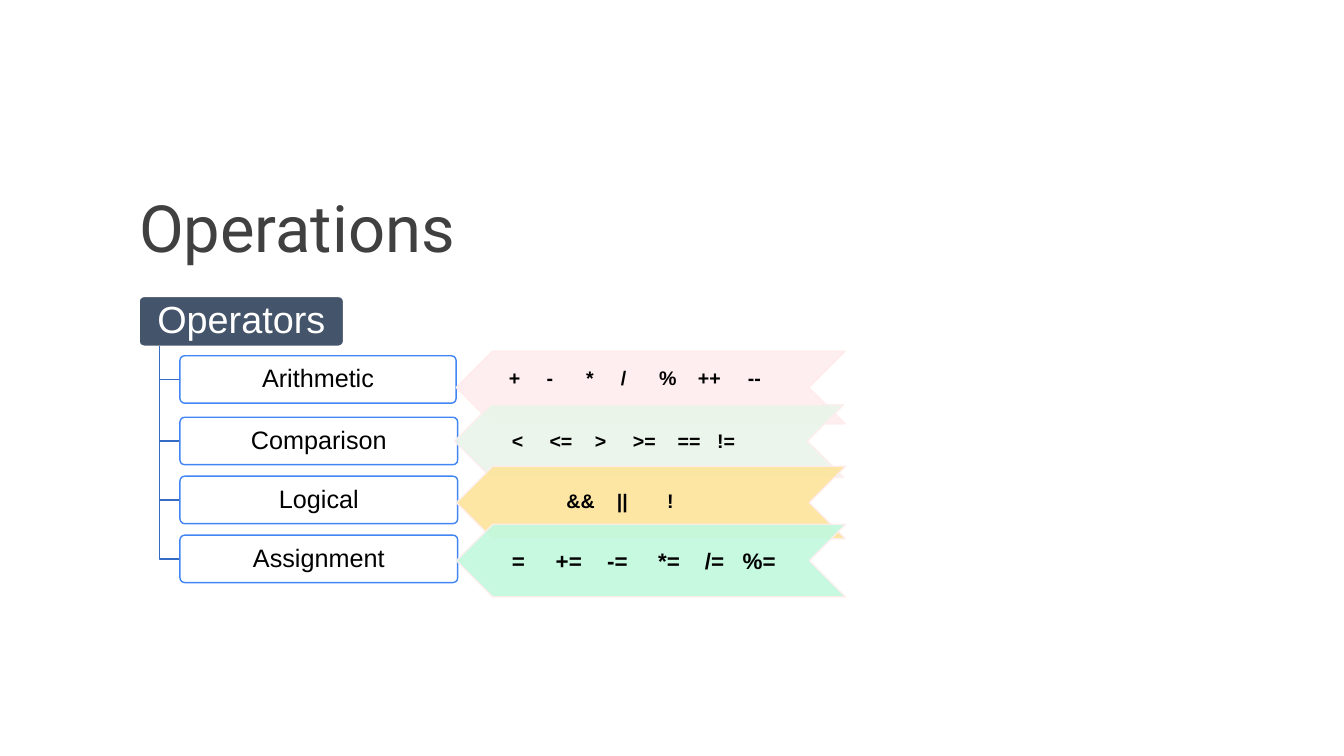
from lxml.etree import SubElement
from pptx import Presentation
from pptx.dml.color import RGBColor
from pptx.enum.shapes import MSO_SHAPE as SHAPE
from pptx.enum.text import MSO_ANCHOR as ANCHOR, MSO_AUTO_SIZE as AUTO, PP_ALIGN as ALIGN
from pptx.oxml.ns import qn
from pptx.util import Cm, Pt

WHITE = RGBColor(0xFF, 0xFF, 0xFF)
BLACK = RGBColor(0, 0, 0)
GREY = RGBColor(0x40, 0x40, 0x40)
SLATE = RGBColor(0x44, 0x54, 0x6A)
BLUE = RGBColor(0x42, 0x85, 0xF4)
BRANCH = RGBColor(0x35, 0x6B, 0xC3)
PINK = RGBColor(0xFF, 0xED, 0xEE)
SAGE = RGBColor(0xE9, 0xF5, 0xE9)
YELLOW = RGBColor(0xFD, 0xE4, 0x9B)
MINT = RGBColor(0xC1, 0xF9, 0xDE)

# name, box top, box width
KINDS = [("Arithmetic", 17.93, 13.92), ("Comparison", 21.03, 14),
         ("Logical", 24, 14), ("Assignment", 26.97, 14)]

# chevron left and top, colour, label left and top, size, symbols, tab stops
ARROWS = [
    (22.99, 17.7, PINK, 25.4, 18.31, 28, "+ - * / % ++ --",
     (1.9, 3.89, 5.64, 7.57, 9.53, 12.04)),
    (22.91, 20.4, SAGE, 25.55, 21.49, 28, "< <= > >= == !=",
     (1.9, 4.19, 6.1, 8.36, 10.34)),
    (23.01, 23.5, YELLOW, 28.3, 24.49, 28, "&& || !", (2.54, 5.08)),
    (23.01, 26.42, MINT, 25.55, 27.46, 32, "= += -= *= /= %=",
     (2.21, 4.8, 7.37, 9.73, 11.63)),
]


def style_font(font, name, size, color, bold=False):
    font.name, font.size, font.bold = name, Pt(size), bold
    font.color.rgb = color


def set_margins(tf, x, y):
    tf.margin_left = tf.margin_right = Cm(x)
    tf.margin_top = tf.margin_bottom = Cm(y)


def make_translucent(*fills):
    """Give each solid fill 90 % opacity."""
    for fill in fills:
        for clr in fill.iter(qn("a:srgbClr")):
            SubElement(clr, qn("a:alpha")).set("val", "90000")


def add_shape(slide, kind, left, top, width, height, fill, line):
    sp = slide.shapes.add_shape(kind, Cm(left), Cm(top), Cm(width), Cm(height))
    sp.shadow.inherit = False
    sp.fill.solid()
    sp.fill.fore_color.rgb = fill
    sp.line.color.rgb = line
    sp.line.width = Pt(2)
    return sp


def add_title(slide, left, top, width, height):
    sp = slide.shapes.title
    sp.left, sp.top, sp.width, sp.height = Cm(left), Cm(top), Cm(width), Cm(height)
    tf = sp.text_frame
    tf.text = "Operations"
    tf.vertical_anchor = ANCHOR.TOP
    tf.auto_size = AUTO.NONE
    set_margins(tf, 0.69, 0.69)
    p = tf.paragraphs[0]
    p.alignment = ALIGN.LEFT
    style_font(p.runs[0].font, "Roboto", 93, GREY)


def add_box(slide, text, left, top, width, height, fill, line, size, color):
    sp = add_shape(slide, SHAPE.ROUNDED_RECTANGLE, left, top, width, height, fill, line)
    sp.adjustments[0] = 0.1
    tf = sp.text_frame
    tf.text = text
    tf.vertical_anchor = ANCHOR.MIDDLE
    set_margins(tf, 0.25, 0.2)
    p = tf.paragraphs[0]
    p.alignment = ALIGN.CENTER
    p.line_spacing = 0.9
    style_font(p.runs[0].font, "Arial", size, color)
    return sp


def add_branch(slide, x, top, right, bottom):
    """Elbow line from the root box down to the side of a child box."""
    builder = slide.shapes.build_freeform(Cm(x), Cm(top))
    builder.add_line_segments([(Cm(x), Cm(bottom)), (Cm(right), Cm(bottom))], close=False)
    sp = builder.convert_to_shape()
    sp.shadow.inherit = False
    sp.fill.background()
    sp.line.color.rgb = BRANCH
    sp.line.width = Pt(2)


def add_tree(slide, left, top, width, height):
    add_box(slide, "Operators", left, top, width, height, SLATE, WHITE, 54, WHITE)
    trunk, child_left, child_height = left + 1.02, left + 2.06, 2.39
    for name, child_top, child_width in KINDS:
        add_branch(slide, trunk, top + height, child_left, child_top + child_height / 2)
        sp = add_box(slide, name, child_left, child_top, child_width, child_height,
                     WHITE, BLUE, 36, BLACK)
        make_translucent(sp.fill._xPr.find(qn("a:solidFill")))


def add_chevron(slide, left, top, color):
    sp = add_shape(slide, SHAPE.CHEVRON, left, top, 19.61, 3.66, color, PINK)
    sp._element.spPr.find(qn("a:xfrm")).set("flipH", "1")
    make_translucent(sp._element.spPr)


def add_symbols(slide, left, top, size, symbols, stops):
    box = slide.shapes.add_textbox(Cm(left), Cm(top), Cm(19.61), Cm(size * 0.051))
    tf = box.text_frame
    tf.word_wrap = True
    tf.text = symbols.replace(" ", "\t")
    p = tf.paragraphs[0]
    tabs = SubElement(p._p.get_or_add_pPr(), qn("a:tabLst"))
    for stop in stops:
        tab = SubElement(tabs, qn("a:tab"))
        tab.set("pos", str(Cm(stop)))
        tab.set("algn", "l")
    for r in p.runs:
        style_font(r.font, "Arial", size, BLACK, bold=True)


def main():
    prs = Presentation()
    prs.slide_width, prs.slide_height = Cm(67.74), Cm(38.1)
    slide = prs.slides.add_slide(prs.slide_layouts[5])
    add_title(slide, 6.32, 8.74, 40.39, 5.36)
    add_tree(slide, 7.01, 14.94, 10.31, 2.51)
    # All chevrons first, so that none covers a row of symbols
    for left, top, color, *_ in ARROWS:
        add_chevron(slide, left, top, color)
    for *_, left, top, size, symbols, stops in ARROWS:
        add_symbols(slide, left, top, size, symbols, stops)
    prs.save("out.pptx")


if __name__ == "__main__":
    main()
